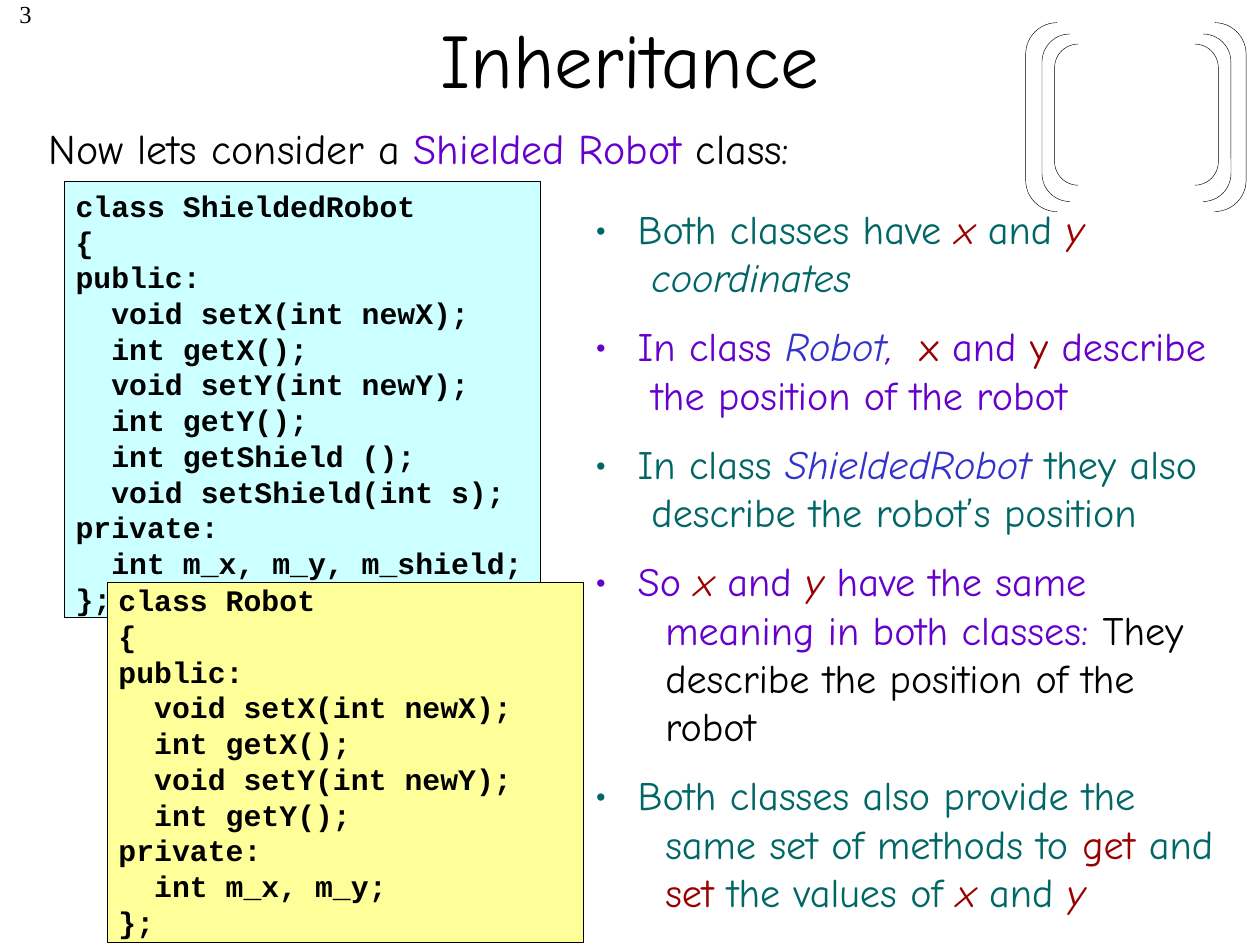
from dataclasses import dataclass

from lxml.etree import SubElement
from pptx import Presentation
from pptx.dml.color import RGBColor
from pptx.enum.shapes import MSO_SHAPE
from pptx.enum.text import MSO_ANCHOR, MSO_AUTO_SIZE, PP_ALIGN
from pptx.oxml.ns import qn
from pptx.util import Inches, Pt


@dataclass(frozen=True)
class Theme:
    black: str = "000000"
    purple: str = "6600CC"
    teal: str = "006666"
    red: str = "990000"
    blue: str = "3333CC"
    cyan_fill: str = "CCFFFF"
    yellow_fill: str = "FFFF99"
    main_font: str = "Comic Neue"
    code_font: str = "Courier New"
    number_font: str = "Times New Roman"
    title_size: int = 44
    intro_size: int = 24
    bullet_size: int = 23
    code_size: int = 17
    number_size: int = 14
    bullet_gap: int = 12


THEME = Theme()

SHIELDED_ROBOT_CODE = """class ShieldedRobot
{
public:
  void setX(int newX);
  int getX();
  void setY(int newY);
  int getY();
  int getShield ();
  void setShield(int s);
private:
  int m_x, m_y, m_shield;
};"""

ROBOT_CODE = """class Robot
{
public:
  void setX(int newX);
  int getX();
  void setY(int newY);
  int getY();
private:
  int m_x, m_y;
};"""

X = ("x", THEME.red, True)
Y = ("y", THEME.red, True)

# Each bullet: main colour, indent of its later lines, lines of spans.
# A span is plain text in the main colour, or (text, colour, italic).
BULLETS = [
    (THEME.teal, 0.45, [
        ["Both classes have ", X, " and ", Y],
        [("coordinates", THEME.teal, True)],
    ]),
    (THEME.purple, 0.45, [
        ["In class ", ("Robot", THEME.blue, True), (", ", THEME.purple, True),
         (" x", THEME.red, False), " and ", ("y", THEME.red, False), " describe"],
        ["the position of the robot"],
    ]),
    (THEME.teal, 0.45, [
        ["In class ", ("ShieldedRobot", THEME.blue, True), " they also"],
        ["describe the robot’s position"],
    ]),
    (THEME.purple, 0.56, [
        ["So ", X, " and ", Y, " have the same"],
        ["meaning in both classes: ", ("They", THEME.black, False)],
        [("describe the position of the", THEME.black, False)],
        [("robot", THEME.black, False)],
    ]),
    (THEME.teal, 0.56, [
        ["Both classes also provide the"],
        ["same set of methods to ", ("get", THEME.red, False), " and"],
        [("set", THEME.red, False), " the values of ", X, " and ", Y],
    ]),
]


def add_text(para, text, *, size, color=THEME.black, font=THEME.main_font,
             bold=False, italic=False):
    span = para.add_run()
    span.text = text
    span.font.size = Pt(size)
    span.font.name = font
    span.font.bold = bold
    span.font.italic = italic
    span.font.color.rgb = RGBColor.from_string(color)


def place(shape, left, top, width, height):
    shape.left, shape.top = Inches(left), Inches(top)
    shape.width, shape.height = Inches(width), Inches(height)


def add_line_of_text(page, left, top, width, height):
    box = page.shapes.add_textbox(Inches(left), Inches(top), Inches(width), Inches(height))
    box.text_frame.word_wrap = True
    return box.text_frame.paragraphs[0]


def add_outlined_shape(page, kind, left, top, width, height):
    shape = page.shapes.add_shape(kind, Inches(left), Inches(top), Inches(width), Inches(height))
    shape.shadow.inherit = False
    shape.line.color.rgb = RGBColor.from_string(THEME.black)
    shape.line.width = Pt(0.25)
    return shape


def add_code_card(page, code, fill, left, top, width, height, top_margin):
    card = add_outlined_shape(page, MSO_SHAPE.RECTANGLE, left, top, width, height)
    card.fill.solid()
    card.fill.fore_color.rgb = RGBColor.from_string(fill)
    frame = card.text_frame
    frame.word_wrap = True
    frame.vertical_anchor = MSO_ANCHOR.TOP
    frame.margin_left, frame.margin_right = Inches(0.09), Inches(0)
    frame.margin_top, frame.margin_bottom = Inches(top_margin), Inches(0)
    for index, line in enumerate(code.split("\n")):
        para = frame.add_paragraph() if index else frame.paragraphs[0]
        para.alignment = PP_ALIGN.LEFT
        add_text(para, line, size=THEME.code_size, font=THEME.code_font, bold=True)


def add_bracket(page, left, top, width, height):
    bracket = add_outlined_shape(page, MSO_SHAPE.DOUBLE_BRACKET, left, top, width, height)
    bracket.adjustments[0] = 0.167
    bracket.fill.background()


def set_bullet(para, text_indent, later_indent):
    """Hang the bullet and set a tab stop for the lines after the first."""
    properties = para._p.get_or_add_pPr()
    properties.set("marL", str(Inches(text_indent)))
    properties.set("indent", str(-Inches(text_indent)))
    SubElement(properties, qn("a:buFont")).set("typeface", THEME.main_font)
    SubElement(properties, qn("a:buChar")).set("char", "•")
    stops = SubElement(properties, qn("a:tabLst"))
    SubElement(stops, qn("a:tab"), pos=str(Inches(later_indent)), algn="l")


def fill_bullets(body):
    frame = body.text_frame
    frame.auto_size = MSO_AUTO_SIZE.NONE
    frame.word_wrap = True
    for index, (color, later_indent, lines) in enumerate(BULLETS):
        para = frame.add_paragraph() if index else frame.paragraphs[0]
        para.space_before = Pt(THEME.bullet_gap if index else 0)
        set_bullet(para, 0.34, later_indent)
        for line_index, spans in enumerate(lines):
            if line_index:
                para.add_line_break()
                add_text(para, "\t", size=THEME.bullet_size, color=color)
            for span in spans:
                text, span_color, italic = (span, color, False) if isinstance(span, str) else span
                add_text(para, text, size=THEME.bullet_size, color=span_color, italic=italic)


def main():
    deck = Presentation()
    deck.slide_width, deck.slide_height = Inches(10), Inches(7.5)
    page = deck.slides.add_slide(deck.slide_layouts[1])

    # Page number and title
    para = add_line_of_text(page, 0, -0.06, 0.35, 0.5)
    para.alignment = PP_ALIGN.RIGHT
    add_text(para, "3", size=THEME.number_size, font=THEME.number_font)
    title = page.shapes.title
    place(title, 0.75, -0.17, 8.5, 1.25)
    title.text_frame.vertical_anchor = MSO_ANCHOR.MIDDLE
    add_text(title.text_frame.paragraphs[0], "Inheritance", size=THEME.title_size)

    # Introduction
    para = add_line_of_text(page, 0.29, 0.92, 6.78, 0.5)
    for text, color in (("Now lets consider a ", THEME.black),
                        ("Shielded Robot", THEME.purple), (" class:", THEME.black)):
        add_text(para, text, size=THEME.intro_size, color=color)

    # Class declarations
    add_code_card(page, SHIELDED_ROBOT_CODE, THEME.cyan_fill, 0.51, 1.44, 3.78, 3.46, 0.05)
    add_code_card(page, ROBOT_CODE, THEME.yellow_fill, 0.85, 4.62, 3.78, 2.86, 0)

    # Comparison of the classes
    body = page.placeholders[1]
    place(body, 4.62, 1.57, 5.38, 5.9)
    fill_bullets(body)

    # Nested brackets
    for bounds in ((8.27, 0.27, 1.5, 1.33), (8.37, 0.35, 1.3, 1.12), (8.14, 0.18, 1.75, 1.5)):
        add_bracket(page, *bounds)

    deck.save("out.pptx")


if __name__ == "__main__":
    main()
